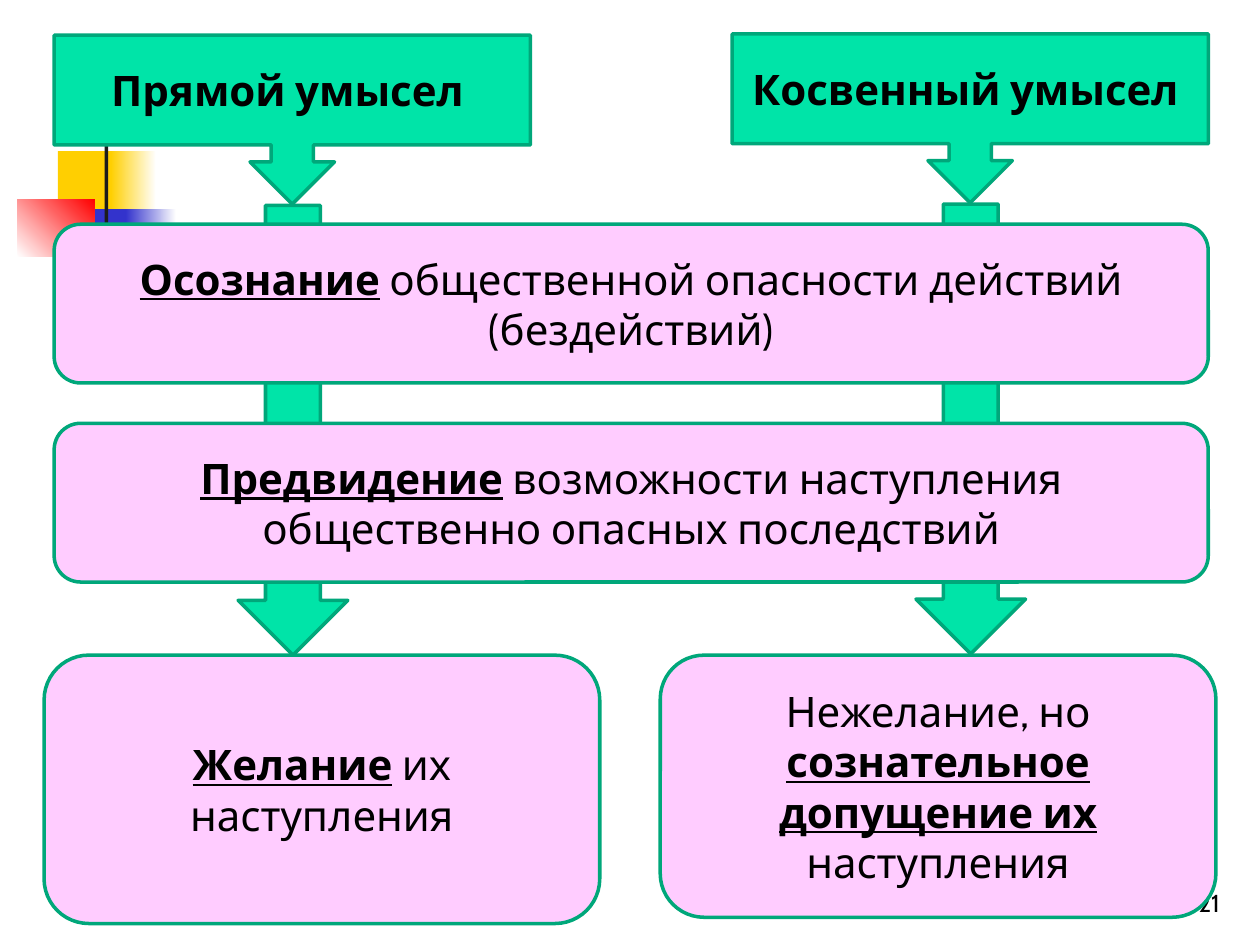
from dataclasses import dataclass

from pptx import Presentation
from pptx.dml.color import RGBColor
from pptx.enum import shapes, text
from pptx.util import Inches, Pt


@dataclass(frozen=True)
class Theme:
    font: str = "Cabin"
    body_size: int = 24
    number_size: int = 14
    line_width: int = 2
    ink: str = "000000"
    white: str = "FFFFFF"
    green: str = "00E4A8"
    outline: str = "00A77A"
    pink: str = "FFCCFF"
    yellow: str = "FFCF01"
    blue: str = "3333CC"
    red: str = "FF0000"
    bar: str = "1C1C1C"


theme = Theme()
kinds = shapes.MSO_SHAPE

presentation = Presentation()
presentation.slide_width = Inches(10)
presentation.slide_height = Inches(7.5)
slide = presentation.slides.add_slide(presentation.slide_layouts[6])


def add_block(kind, box, fill, outline=None):
    shape = slide.shapes.add_shape(kind, *map(Inches, box))
    shape.shadow.inherit = False
    if isinstance(fill, tuple):
        start, end, angle = fill
        shape.fill.gradient()
        shape.fill.gradient_angle = angle
        for stop, color in zip(shape.fill.gradient_stops, (start, end)):
            stop.color.rgb = RGBColor.from_string(color)
    else:
        shape.fill.solid()
        shape.fill.fore_color.rgb = RGBColor.from_string(fill)
    if outline:
        shape.line.color.rgb = RGBColor.from_string(outline)
        shape.line.width = Pt(theme.line_width)
    else:
        shape.line.fill.background()
    return shape


def write_text(shape, runs, size, alignment, anchor):
    """Fill a shape with (text, emphasised) runs; emphasis is bold underlined."""
    frame = shape.text_frame
    frame.word_wrap = True
    frame.vertical_anchor = anchor
    paragraph = frame.paragraphs[0]
    paragraph.alignment = alignment
    paragraph.font.name = theme.font
    paragraph.font.size = Pt(size)
    paragraph.font.color.rgb = RGBColor.from_string(theme.ink)
    for words, emphasised in runs:
        run = paragraph.add_run()
        run.text = words
        # Fonts go on the runs too, since shape styles colour them
        run.font.name = theme.font
        run.font.size = Pt(size)
        run.font.color.rgb = RGBColor.from_string(theme.ink)
        if emphasised:
            run.font.bold = run.font.underline = True
    return paragraph


# Corner decoration
decoration = [
    ((0.46, 1.2, 0.48, 0.52), theme.yellow),
    ((0.88, 1.2, 0.36, 0.52), (theme.yellow, theme.white, 0)),
    ((0.59, 1.66, 0.46, 0.52), theme.blue),
    ((1, 1.66, 0.4, 0.52), (theme.blue, theme.white, 0)),
    ((0.14, 1.58, 0.61, 0.46), (theme.white, theme.red, 45)),
    ((0.83, 1.08, 0.03, 1.15), theme.bar),
]
for box, fill in decoration:
    add_block(kinds.RECTANGLE, box, fill)

# Long arrows running behind the boxes
for left, top in ((7.27, 1.62), (1.89, 1.63)):
    add_block(kinds.DOWN_ARROW, (left, top, 0.87, 3.57), theme.green, theme.outline)

# Slide number
number = slide.shapes.add_textbox(Inches(7.7), Inches(6.83), Inches(2.08), Inches(0.5))
write_text(number, [("21", False)], theme.number_size,
           text.PP_ALIGN.RIGHT, text.MSO_ANCHOR.BOTTOM)

# Headings of the two kinds of intent
headings = [(0.43, 0.28, "Прямой умысел "), (5.81, 0.27, "Косвенный умысел ")]
for left, top, heading in headings:
    callout = add_block(kinds.DOWN_ARROW_CALLOUT, (left, top, 3.78, 1.34),
                        theme.green, theme.outline)
    for index, value in enumerate((0.25, 0.25, 0.25, 0.65)):
        callout.adjustments[index] = value
    paragraph = write_text(callout, [(heading, False)], theme.body_size,
                           text.PP_ALIGN.CENTER, text.MSO_ANCHOR.MIDDLE)
    paragraph.font.bold = True

# Shared features, then the feature that sets each kind apart
features = [
    ((0.43, 1.78, 9.16, 1.26),
     [("Осознание", True), (" общественной опасности действий (бездействий)", False)]),
    ((0.43, 3.36, 9.16, 1.26),
     [("Предвидение", True),
      (" возможности наступления общественно опасных последствий", False)]),
    ((0.35, 5.2, 4.41, 2.13),
     [("Желание", True), (" их наступления", False)]),
    ((5.24, 5.2, 4.41, 2.08),
     [("Нежелание, но ", False), ("сознательное допущение их ", True),
      ("наступления", False)]),
]
for box, runs in features:
    feature = add_block(kinds.ROUNDED_RECTANGLE, box, theme.pink, theme.outline)
    write_text(feature, runs, theme.body_size,
               text.PP_ALIGN.CENTER, text.MSO_ANCHOR.MIDDLE)

presentation.save("out.pptx")
